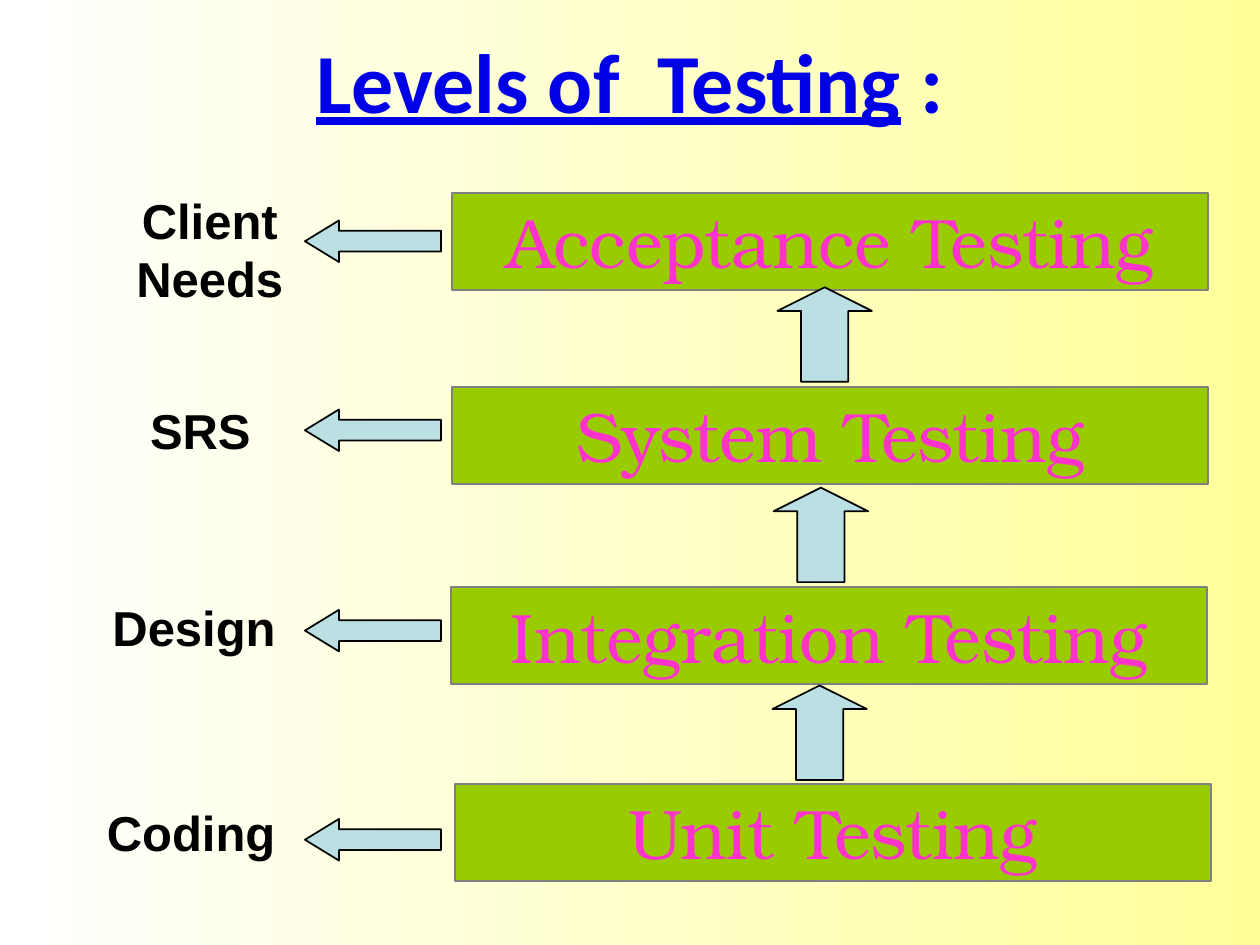
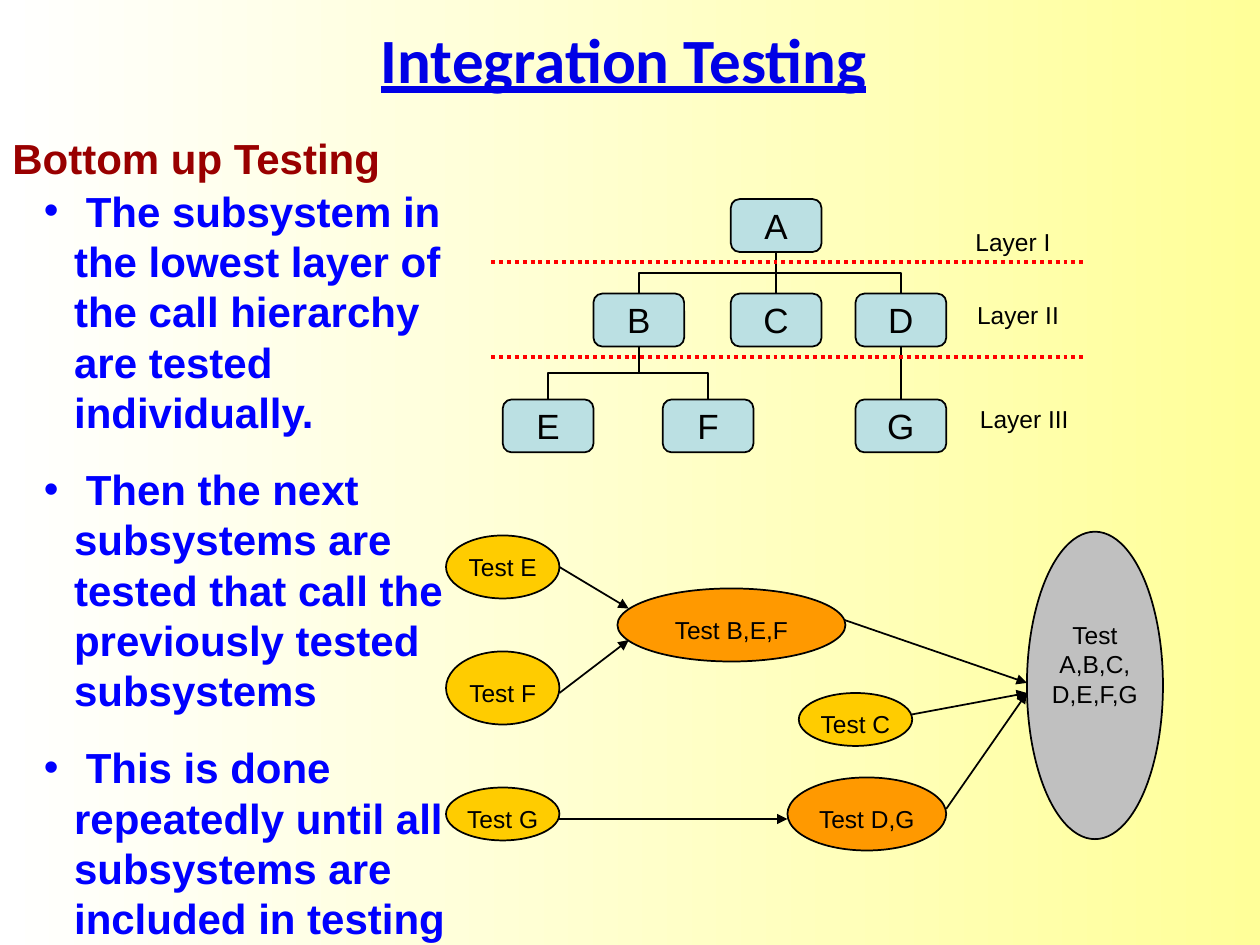
from lxml import etree
from pptx import Presentation
from pptx.dml.color import RGBColor
from pptx.enum.dml import MSO_LINE
from pptx.enum.shapes import MSO_CONNECTOR as CONN, MSO_SHAPE as SHAPE
from pptx.enum.text import MSO_ANCHOR as ANCHOR, PP_ALIGN as ALIGN
from pptx.oxml.ns import qn
from pptx.util import Inches, Pt

rgb = RGBColor.from_string
BLACK, PALE_BLUE, TITLE_BLUE = "000000", "BBE0E3", "0000E6"
GREEN, GREY, PINK = "99CC00", "808080", "FF33CC"
YELLOW, ORANGE, SILVER = "FFCC00", "FF9900", "C0C0C0"
RED, MAROON, BLUE = "FF0000", "990000", "0000FF"


def add_shape(s, kind, x, y, w, h, fill, line=BLACK, adj=()):
    sp = s.shapes.add_shape(kind, Inches(x), Inches(y), Inches(w), Inches(h))
    sp.shadow.inherit = False
    sp.fill.solid()
    sp.fill.fore_color.rgb = rgb(fill)
    sp.line.color.rgb = rgb(line)
    sp.line.width = Pt(1)
    for i, value in enumerate(adj):
        sp.adjustments[i] = value
    return sp


def add_text(s, box, runs, size, color=BLACK, bold=False, font="Arial",
             align=ALIGN.CENTER, sp=None):
    """Write (text, underline) runs in sp, or in a new text box."""
    sp = sp or s.shapes.add_textbox(*[Inches(v) for v in box])
    tf = sp.text_frame
    tf.word_wrap = True
    tf.vertical_anchor = ANCHOR.TOP
    p = tf.paragraphs[0]
    p.alignment = align
    for text, underline in runs:
        r = p.add_run()
        r.text = text
        r.font.size, r.font.name, r.font.bold = Pt(size), font, bold
        r.font.underline = underline
        r.font.color.rgb = rgb(color)
    return tf


prs = Presentation()
prs.slide_width, prs.slide_height = Inches(10), Inches(7.5)

# Shared background and title style
titles = [
    ((0.5, 0.17, 9, 0.92), [("Levels of  Testing", True), (" :", False)], 48),
    ((0.81, 0, 8.28, 0.92), [("Integration Testing", True)], 36),
]
for box, runs, size in titles:
    s = prs.slides.add_slide(prs.slide_layouts[6])
    fill = s.background.fill
    fill.gradient()
    fill.gradient_angle = 0
    for stop, color in zip(fill.gradient_stops, ("FFFFFF", "FFFF99")):
        stop.color.rgb = rgb(color)
    tf = add_text(s, box, runs, size, TITLE_BLUE, True, "Calibri")
    tf.vertical_anchor = ANCHOR.MIDDLE
levels_slide, integration_slide = prs.slides

# Slide 1: level bars, each with an arrow to what it checks
s = levels_slide
levels = [  # level, bar left, bar top, basis, basis box, arrow top
    ("Acceptance Testing", 3.59, 1.53, "Client Needs", (0.83, 1.46, 1.67, 1.04), 1.75),
    ("System Testing", 3.59, 3.07, "SRS", (0.67, 3.13, 1.84, 0.57), 3.25),
    ("Integration Testing", 3.58, 4.66, "Design", (0.58, 4.69, 1.92, 0.57), 4.84),
    ("Unit Testing", 3.61, 6.22, "Coding", (0.75, 6.32, 1.67, 0.57), 6.5),
]
for level, x, y, basis, box, arrow_y in levels:
    bar = add_shape(s, SHAPE.RECTANGLE, x, y, 6, 0.77, GREEN, GREY)
    add_text(s, None, [(level, None)], 40, PINK, font="TeX Gyre Bonum", sp=bar)
    align = ALIGN.LEFT if basis == "Coding" else ALIGN.CENTER
    add_text(s, box, [(basis, None)], 28, bold=True, align=align)
    add_shape(s, SHAPE.LEFT_ARROW, 2.42, arrow_y, 1.08, 0.33, PALE_BLUE, adj=(0.5, 0.818))

# Arrows from each level up to the next
for x, y in [(6.17, 2.28), (6.14, 3.87), (6.13, 5.44)]:
    add_shape(s, SHAPE.UP_ARROW, x, y, 0.75, 0.75, PALE_BLUE, adj=(0.5, 0.25))

# Slide 2: heading and bullets
s = integration_slide
add_text(s, (0, 1, 3.56, 0.5), [("Bottom up Testing", None)], 24, MAROON, True,
         align=ALIGN.LEFT)
bullets = [
    " The subsystem in the lowest layer of the call hierarchy are tested individually.",
    " Then the next subsystems are tested that call the previously tested subsystems",
    " This is done repeatedly until all subsystems are included in testing",
]
tf = s.shapes.add_textbox(Inches(0.25), Inches(1.42), Inches(3.5), Inches(6.12)).text_frame
tf.word_wrap = True
for i, text in enumerate(bullets):
    p = tf.paragraphs[0] if i == 0 else tf.add_paragraph()
    pPr = p._p.get_or_add_pPr()
    pPr.set("marL", str(Inches(0.24)))
    pPr.set("indent", str(-Inches(0.24)))
    etree.SubElement(pPr, qn("a:buFont"), typeface="Arial")
    etree.SubElement(pPr, qn("a:buChar"), char="•")
    if i:
        p.space_before = Pt(15)
    r = p.add_run()
    r.text = text
    r.font.size, r.font.name, r.font.bold = Pt(24), "Arial", True
    r.font.color.rgb = rgb(BLUE)

# Call hierarchy: left and top of each module, and who calls whom
MOD_W, MOD_H = 0.72, 0.42
modules = {
    "A": (5.8, 1.58),
    "B": (4.71, 2.33), "C": (5.8, 2.33), "D": (6.79, 2.33),
    "E": (3.99, 3.17), "F": (5.26, 3.17), "G": (6.79, 3.17),
}
calls = ["AB", "AC", "AD", "BE", "BF", "DG"]

# Lines: kind, start, end, colour, width
lines = []
for caller, callee in calls:
    x1, y1 = modules[caller]
    x2, y2 = modules[callee]
    mid_x, mid_y = (x1 + x2 + MOD_W) / 2, (y1 + MOD_H + y2) / 2
    dx, dy = (x2 - x1) / 2, (y2 - y1 - MOD_H) / 2
    # An elbow is laid out sideways here and turned a quarter below
    lines.append(("elbow", mid_x - dy, mid_y + dx, mid_x + dy, mid_y - dx, BLACK, 1))
for y in (2.08, 2.83):
    lines.append(("layer", 3.9, y, 8.6, y, RED, 2.25))
flows = [
    (4.44, 4.5, 4.99, 4.83), (4.44, 5.5, 4.99, 5.08), (4.44, 6.5, 6.25, 6.5),
    (6.7, 4.92, 8.15, 5.42), (7.24, 5.67, 8.15, 5.5), (7.51, 6.42, 8.15, 5.5),
]
lines += [("flow", *ends, BLACK, 1) for ends in flows]

for kind, x1, y1, x2, y2, color, width in lines:
    conn_type = CONN.ELBOW if kind == "elbow" else CONN.STRAIGHT
    cxn = s.shapes.add_connector(conn_type, Inches(x1), Inches(y1), Inches(x2), Inches(y2))
    cxn.line.color.rgb = rgb(color)
    cxn.line.width = Pt(width)
    spPr = cxn._element.spPr
    if kind == "elbow":
        spPr.find(qn("a:xfrm")).set("rot", "5400000")
    elif kind == "layer":
        cxn.line.dash_style = MSO_LINE.ROUND_DOT
        cxn.line._ln.find(qn("a:prstDash")).set("val", "sysDot")
    else:
        etree.SubElement(cxn.line._ln, qn("a:tailEnd"), type="triangle")
    etree.SubElement(spPr, qn("a:effectLst"))

# Modules and layer names
for name, (x, y) in modules.items():
    add_shape(s, SHAPE.ROUNDED_RECTANGLE, x, y, MOD_W, MOD_H, PALE_BLUE, adj=(0.167,))
    add_text(s, (x + 0.09, y - 0.01, 0.54, 0.44), [(name, None)], 20)
for name, x, y in [("Layer I", 7.41, 1.75), ("Layer II", 7.45, 2.33), ("Layer III", 7.5, 3.16)]:
    add_text(s, (x, y, 1.26, 0.34), [(name, None)], 14)

# Test steps: name, ellipse box, fill, label top, label inset
steps = [
    ("Test E", 3.54, 4.25, 0.9, 0.5, YELLOW, 4.33, 0),
    ("Test F", 3.54, 5.17, 0.9, 0.58, YELLOW, 5.33, 0),
    ("Test G", 3.54, 6.25, 0.9, 0.42, YELLOW, 6.33, 0),
    ("Test C", 6.34, 5.5, 0.9, 0.42, YELLOW, 5.58, 0),
    ("Test B,E,F", 4.9, 4.67, 1.81, 0.58, ORANGE, 4.83, 0.18),
    ("Test D,G", 6.25, 6.17, 1.26, 0.58, ORANGE, 6.33, 0),
    ("Test A,B,C,D,E,F,G", 8.15, 4.22, 1.08, 2.44, SILVER, 4.87, 0.09),
]
for name, x, y, w, h, fill, label_y, inset in steps:
    add_shape(s, SHAPE.OVAL, x, y, w, h, fill)
    add_text(s, (x + inset, label_y, w - 2 * inset, 0.34), [(name, None)], 14)

prs.save("out.pptx")
